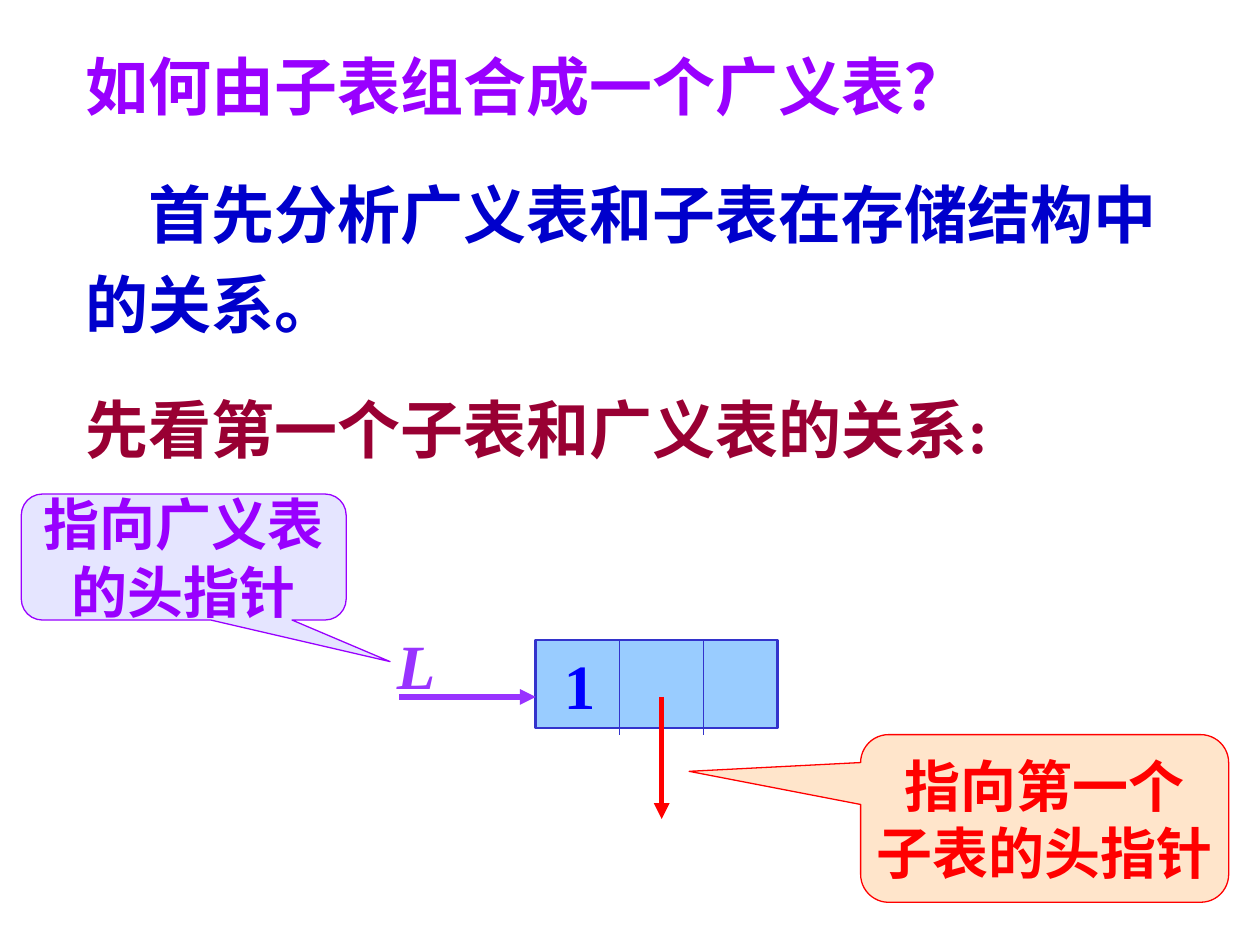
from dataclasses import dataclass
from typing import Any

from lxml import etree
from pptx import Presentation
from pptx.dml.color import RGBColor
from pptx.enum.shapes import MSO_CONNECTOR, MSO_SHAPE
from pptx.enum.text import MSO_ANCHOR, MSO_AUTO_SIZE, PP_ALIGN
from pptx.oxml.ns import qn
from pptx.util import Cm, Pt

STRAIGHT = MSO_CONNECTOR.STRAIGHT
RECTANGLE = MSO_SHAPE.RECTANGLE
CALLOUT = MSO_SHAPE.ROUNDED_RECTANGULAR_CALLOUT
TOP, MIDDLE = MSO_ANCHOR.TOP, MSO_ANCHOR.MIDDLE
LEFT, CENTER = PP_ALIGN.LEFT, PP_ALIGN.CENTER
FIT, NO_FIT = MSO_AUTO_SIZE.SHAPE_TO_FIT_TEXT, MSO_AUTO_SIZE.NONE

COLORS = {
    "question": "9900FF",
    "analysis": "0000CC",
    "relation": "990033",
    "list_pointer": "9933FF",
    "node_fill": "99CCFF",
    "node_line": "3333CC",
    "tag": "0000FF",
    "head_pointer": "FF0000",
    "list_note": "CCCCFF",
    "sublist_note": "FFCC99",
}
FONT = "Times New Roman"


@dataclass
class Statement:
    text: str
    top: float
    height: float
    color: str
    indent: float = 0
    spacing: float = 1.0


@dataclass
class Pointer:
    start: tuple[float, float]
    end: tuple[float, float]
    color: str
    width: float
    arrow: bool = False


@dataclass
class Note:
    lines: list[str]
    box: tuple[float, float, float, float]
    tip: tuple[float, float]
    color: str
    fill: str


STATEMENTS = [
    Statement("如何由子表组合成一个广义表？", 0.84, 1.78, "question"),
    Statement("首先分析广义表和子表在存储结构中的关系。", 3.1, 3.91, "analysis", 1.27, 1.2),
    Statement("先看第一个子表和广义表的关系:", 7.75, 1.78, "relation"),
]
NODE_LEFT, NODE_TOP, FIELD_WIDTH = 10.8, 12.9, 1.69
POINTER_Y = 14.05
POINTERS = [
    Pointer((8.05, POINTER_Y), (NODE_LEFT, POINTER_Y), "list_pointer", 3, True),
    *[
        Pointer((NODE_LEFT + FIELD_WIDTH * n, NODE_TOP),
                (NODE_LEFT + FIELD_WIDTH * n, 14.81), "node_line", 0.75)
        for n in (1, 2)
    ],
    Pointer((13.34, POINTER_Y), (13.34, 16.51), "head_pointer", 3, True),
]
NOTES = [
    Note(["指向广义表", "的头指针"], (0.43, 9.96, 6.55, 2.54), (0.635, 0.83),
         "question", "list_note"),
    Note(["指向第一个", "子表的头指针"], (17.35, 14.81, 7.42, 3.38), (-0.966, -0.281),
         "head_pointer", "sublist_note"),
]


def rgb(name: str) -> RGBColor:
    return RGBColor.from_string(COLORS[name])


def apply(target: Any, values: dict[str, Any]) -> None:
    for key, value in values.items():
        setattr(target, key, value)


def write(shape: Any, lines: list[str], color: str, size: int = 36, italic: bool = False,
          align: Any = LEFT, spacing: float = 1.0, indent: float = 0, **frame_format: Any) -> None:
    frame = shape.text_frame
    apply(frame, {"word_wrap": True, "auto_size": FIT, "vertical_anchor": TOP, **frame_format})
    for number, line in enumerate(lines):
        paragraph = frame.add_paragraph() if number else frame.paragraphs[0]
        apply(paragraph, {"alignment": align, "line_spacing": spacing})
        if indent:
            properties = paragraph._p.get_or_add_pPr()
            properties.set("marL", "0")
            properties.set("indent", str(int(Cm(indent))))
        run = paragraph.add_run()
        run.text = line
        apply(run.font, {"name": FONT, "size": Pt(size), "bold": True, "italic": italic})
        run.font.color.rgb = rgb(color)


def add_box(slide: Any, kind: Any, box: tuple[float, float, float, float],
            fill: str, line: str, width: float) -> Any:
    shape = slide.shapes.add_shape(kind, *map(Cm, box))
    shape.shadow.inherit = False
    shape.fill.solid()
    shape.fill.fore_color.rgb = rgb(fill)
    shape.line.color.rgb = rgb(line)
    shape.line.width = Pt(width)
    return shape


def add_statement(slide: Any, item: Statement) -> None:
    box = slide.shapes.add_textbox(Cm(1.47), Cm(item.top), Cm(22.58), Cm(item.height))
    write(box, [item.text], item.color, spacing=item.spacing, indent=item.indent)


def add_pointer(slide: Any, item: Pointer) -> None:
    line = slide.shapes.add_connector(STRAIGHT, *map(Cm, item.start + item.end))
    line.line.color.rgb = rgb(item.color)
    line.line.width = Pt(item.width)
    if item.arrow:
        etree.SubElement(line.line._get_or_add_ln(), qn("a:tailEnd"), type="triangle")
    etree.SubElement(line._element.spPr, qn("a:effectLst"))


def add_note(slide: Any, item: Note) -> None:
    note = add_box(slide, CALLOUT, item.box, item.fill, item.color, 0.75)
    for number, value in enumerate((*item.tip, 0.167)):
        note.adjustments[number] = value
    fill_color = note._element.spPr.find(qn("a:solidFill")).find(qn("a:srgbClr"))
    etree.SubElement(fill_color, qn("a:alpha"), val="50000")
    write(note, item.lines, item.color, size=32, align=CENTER,
          word_wrap=False, auto_size=NO_FIT, vertical_anchor=MIDDLE)


def main() -> None:
    deck = Presentation()
    apply(deck, {"slide_width": Cm(25.4), "slide_height": Cm(19.05)})
    slide = deck.slides.add_slide(deck.slide_layouts[6])

    for statement in STATEMENTS:
        add_statement(slide, statement)

    node = add_box(slide, RECTANGLE, (NODE_LEFT, NODE_TOP, 4.88, 1.78),
                   "node_fill", "node_line", 1.5)
    write(node, ["1"], "tag", indent=0.32)

    for pointer in POINTERS:
        add_pointer(slide, pointer)

    list_name = slide.shapes.add_textbox(Cm(7.75), Cm(12.5), Cm(1.27), Cm(1.78))
    write(list_name, ["L"], "list_pointer", italic=True, word_wrap=False)

    for note in NOTES:
        add_note(slide, note)

    deck.save("out.pptx")


if __name__ == "__main__":
    main()
